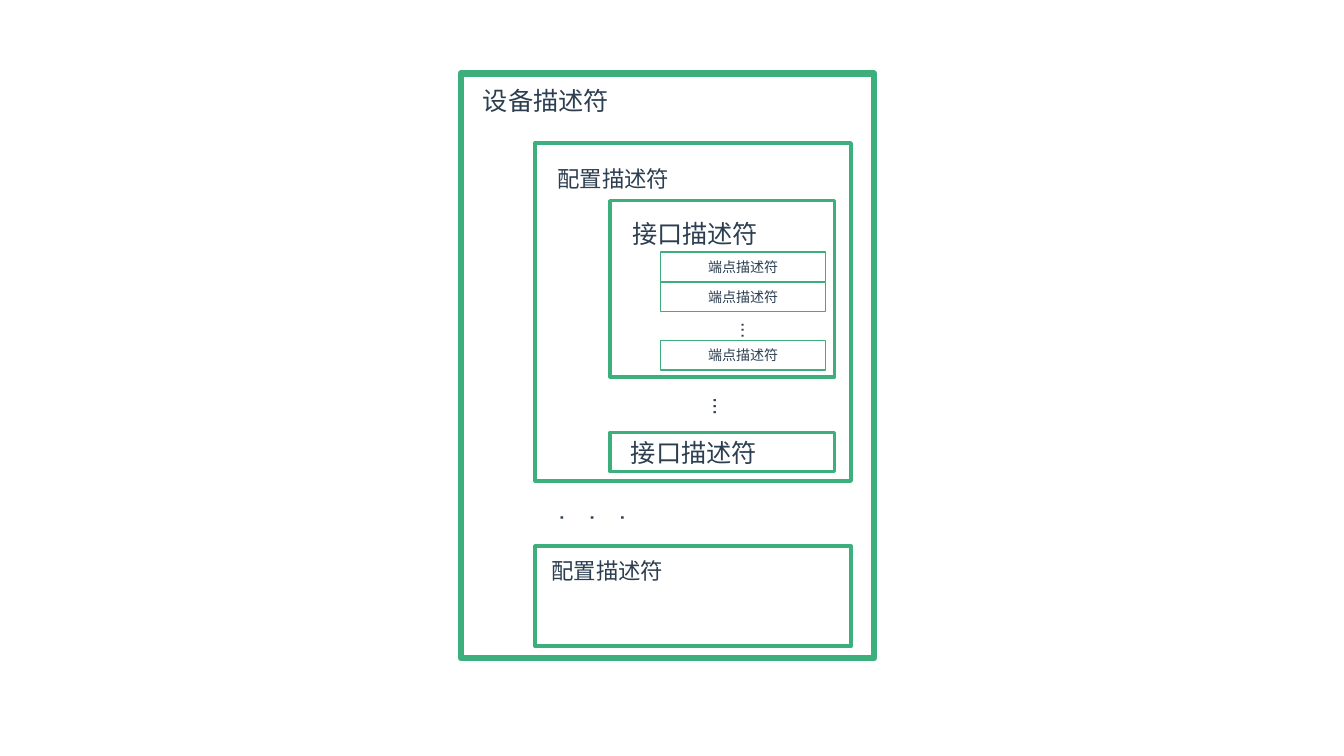
import pptx
import pptx.util
import pptx.dml.color
import pptx.enum.shapes
import pptx.enum.text
import pptx.oxml.ns
from dataclasses import dataclass
from lxml import etree
from pptx.util import Inches, Pt


@dataclass(frozen=True)
class Theme:
    font: str = "Arial"
    ink: str = "2C3E50"
    edge: str = "3DAF7C"
    large: int = 18
    mid: int = 16
    small: int = 14
    tiny: int = 10


theme = Theme()


def write(frame, text, size):
    run = frame.paragraphs[0].add_run()
    run.text = text
    run.font.size = Pt(size)
    run.font.name = theme.font
    run.font.color.rgb = pptx.dml.color.RGBColor.from_string(theme.ink)
    props = run.font._element
    east = etree.SubElement(props, pptx.oxml.ns.qn("a:ea"))
    east.set("typeface", theme.font)


def frame(slide, box, weight):
    kind = pptx.enum.shapes.MSO_SHAPE.RECTANGLE
    rect = slide.shapes.add_shape(kind, *map(Inches, box))
    rect.shadow.inherit = False
    rect.fill.background()
    rect.line.color.rgb = pptx.dml.color.RGBColor.from_string(theme.edge)
    rect.line.width = Pt(weight)
    return rect


def label(slide, box, text, size, wrap=False):
    area = slide.shapes.add_textbox(*map(Inches, box))
    area.text_frame.word_wrap = wrap
    area.text_frame.auto_size = pptx.enum.text.MSO_AUTO_SIZE.SHAPE_TO_FIT_TEXT
    write(area.text_frame, text, size)
    return area


def dots(slide, box, size, wrap=False):
    area = label(slide, box, "...", size, wrap)
    # Stacked East Asian text direction
    body = area.element.find(".//" + pptx.oxml.ns.qn("a:bodyPr"))
    body.set("vert", "eaVert")


# Endpoint rows
def endpoint(slide, box):
    rect = frame(slide, box, 1)
    text = rect.text_frame
    text.margin_top = text.margin_bottom = 0
    text.vertical_anchor = pptx.enum.text.MSO_ANCHOR.MIDDLE
    text.paragraphs[0].alignment = pptx.enum.text.PP_ALIGN.CENTER
    write(text, "端点描述符", theme.tiny)


# Interface box with its heading
def interface(slide, box, dx, dy):
    x, y, w, h = box
    frame(slide, box, 2.25)
    label(slide, (x + dx, y + dy, 1.45, 0.4), "接口描述符", theme.large)


# Interface box that lists its endpoints
def listing(slide, box):
    x, y, w, h = box
    interface(slide, box, 0.12, 0.13)
    for drop in (0.51, 0.81, 1.39):
        endpoint(slide, (x + 0.5, y + drop, 1.64, 0.29))
    dots(slide, (x + 1.11, y + 1.11, 0.44, 0.29), theme.small)


# Configuration box with its heading
def config(slide, box, dx, dy):
    x, y, w, h = box
    frame(slide, box, 3)
    label(slide, (x + dx, y + dy, 1.31, 0.37), "配置描述符", theme.mid)


# Configuration box that holds its interfaces
def nested(slide, box):
    x, y, w, h = box
    config(slide, box, 0.12, 0.17)
    listing(slide, (x + 0.74, y + 0.57, 2.23, 1.75))
    dots(slide, (x + 1.57, y + 2.42, 0.47, 0.31), theme.mid)
    interface(slide, (x + 0.74, y + 2.87, 2.23, 0.39), 0.11, 0)


# Device box around everything
def device(slide, box):
    x, y, w, h = box
    frame(slide, box, 4.5)
    label(slide, (x + 0.12, y + 0.07, 1.45, 0.4), "设备描述符", theme.large)
    nested(slide, (x + 0.74, y + 0.69, 3.13, 3.35))
    dots(slide, (x + 1.39, y + 4.28, 0.5, 0.32), theme.large, wrap=True)
    config(slide, (x + 0.74, y + 4.69, 3.13, 0.99), 0.06, 0.06)


def main():
    deck = pptx.Presentation()
    deck.slide_width, deck.slide_height = Inches(13.33), Inches(7.5)
    slide = deck.slides.add_slide(deck.slide_layouts[6])
    device(slide, (4.57, 0.73, 4.1, 5.8))
    deck.save("out.pptx")


if __name__ == "__main__":
    main()
